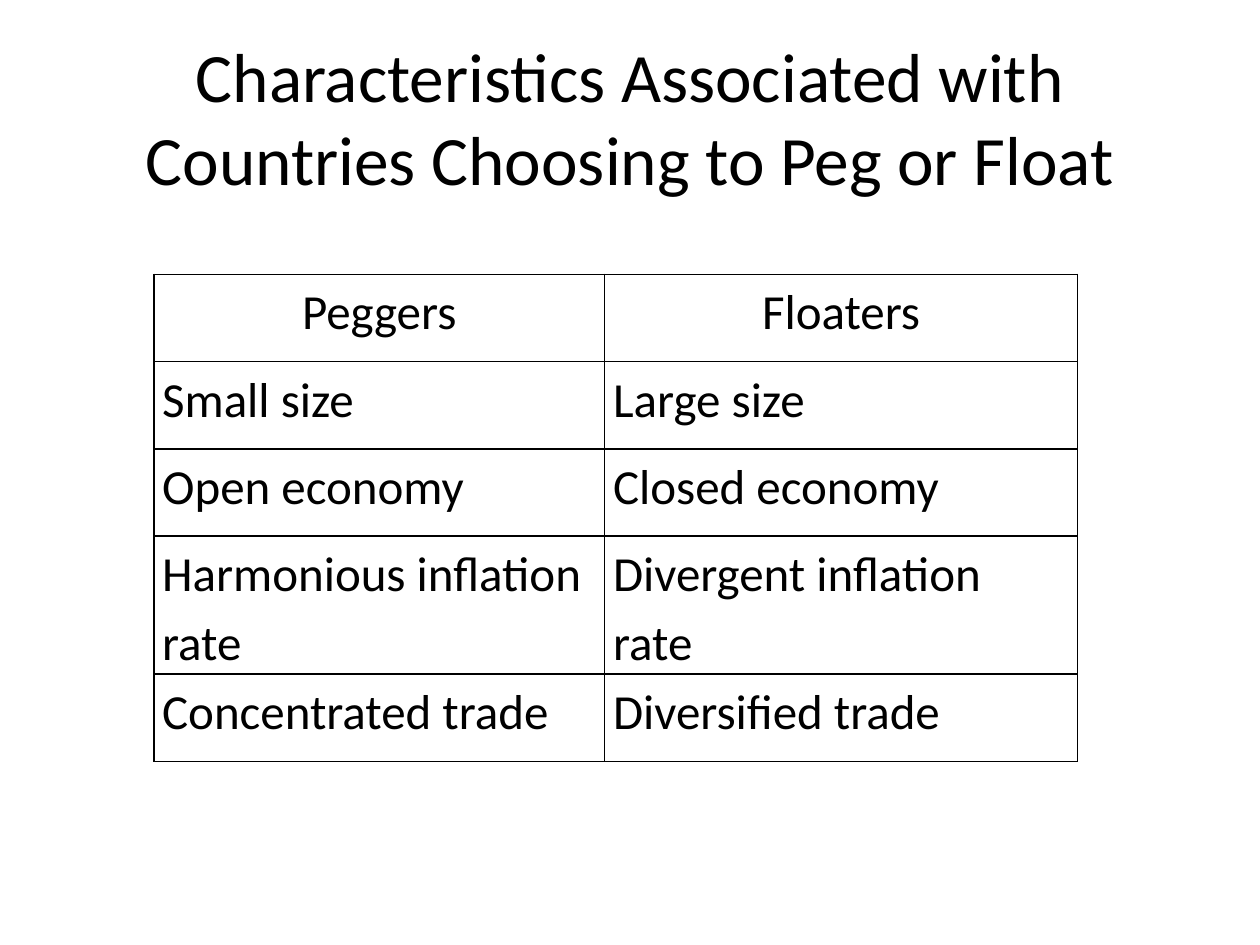
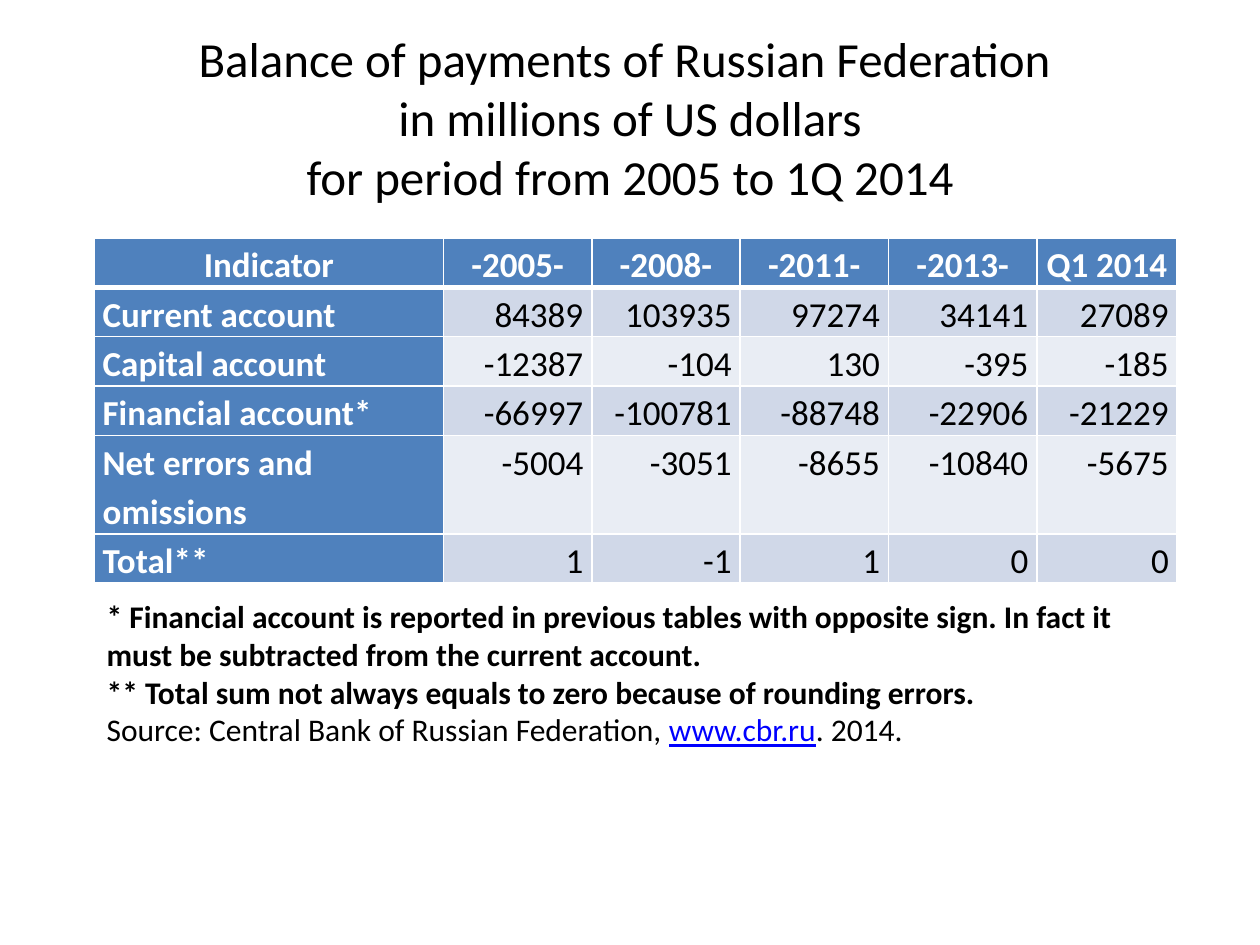
from dataclasses import dataclass
from lxml.etree import SubElement
from pptx import Presentation
from pptx.dml.color import RGBColor
from pptx.enum.text import MSO_ANCHOR, MSO_AUTO_SIZE, PP_ALIGN
from pptx.oxml.ns import qn
from pptx.util import Cm, Pt


@dataclass(frozen=True)
class Theme:
    font: str = "Calibri"
    black: str = "000000"
    white: str = "FFFFFF"
    blue: str = "4F81BD"
    bands: tuple = ("D0D8E8", "E9EDF4")
    link: str = "0000FF"
    title: float = 39.6
    large: float = 28
    body: float = 20
    note: float = 18
    lead: float = 1.15
    inset: float = 0.17


THEME = Theme()
LEFT, MID, RIGHT = PP_ALIGN.LEFT, PP_ALIGN.CENTER, PP_ALIGN.RIGHT

# Content
TRAITS = [
    ("Peggers", "Floaters"),
    ("Small size", "Large size"),
    ("Open economy", "Closed economy"),
    ("Harmonious inflation rate", "Divergent inflation rate"),
    ("Concentrated trade", "Diversified trade"),
]
BALANCE = [
    ("Indicator", "-2005-", "-2008-", "-2011-", "-2013-", "Q1 2014"),
    ("Current account", 84389, 103935, 97274, 34141, 27089),
    ("Capital account", -12387, -104, 130, -395, -185),
    ("Financial account*", -66997, -100781, -88748, -22906, -21229),
    ("Net errors and omissions", -5004, -3051, -8655, -10840, -5675),
    ("Total**", 1, -1, 1, 0, 0),
]
NOTES = [
    "* Financial account is reported in previous tables with opposite sign. "
    "In fact it must be subtracted from the current account.",
    "** Total sum not always equals to zero because of rounding errors.",
]


# Text: one run or several lines in a paragraph
def write(para, text, size=THEME.body, color=THEME.black, bold=False,
          line=False, align=LEFT, lead=None):
    para.alignment = align
    if lead:
        para.line_spacing = lead
    for num, part in enumerate(text.split("\n")):
        if num:
            para.add_line_break()
        run = para.add_run()
        run.text = part
        font = run.font
        font.name, font.size = THEME.font, Pt(size)
        font.bold, font.underline = bold, line
        font.color.rgb = RGBColor.from_string(color)


# Slide with its title
def add_page(deck, text, size):
    page = deck.slides.add_slide(deck.slide_layouts[5])
    head = page.shapes.title
    head.left, head.top = Cm(1.27), Cm(0.76)
    head.width, head.height = Cm(22.86), Cm(3.18)
    frame = head.text_frame
    frame.vertical_anchor = MSO_ANCHOR.MIDDLE
    write(frame.paragraphs[0], text, size=size, align=MID)
    return page


# Cell borders, in the order left, right, top, bottom
def edge(cell, color, widths):
    props = cell._tc.get_or_add_tcPr()
    for side, width in zip("LRTB", widths):
        line = SubElement(props, qn(f"a:ln{side}"), w=str(Pt(width)))
        fill = SubElement(line, qn("a:solidFill"))
        SubElement(fill, qn("a:srgbClr"), val=color)


# Table whose cells are dressed by a style function
def add_grid(page, data, left, top, cols, rows, style):
    table = page.shapes.add_table(
        len(rows), len(cols), Cm(left), Cm(top),
        Cm(sum(cols)), Cm(sum(rows))).table
    for col, width in zip(table.columns, cols):
        col.width = Cm(width)
    for row, height in zip(table.rows, rows):
        row.height = Cm(height)
    for r, line in enumerate(data):
        for c, value in enumerate(line):
            cell = table.cell(r, c)
            cell.margin_left = cell.margin_right = Cm(THEME.inset)
            cell.margin_top = cell.margin_bottom = 0
            look = style(cell, r, c)
            write(cell.text_frame.paragraphs[0], str(value),
                  lead=THEME.lead, **look)


def plain(cell, r, c):
    edge(cell, THEME.black, (1, 1, 1, 1))
    cell.fill.background()
    return dict(size=THEME.large, align=LEFT if r else MID)


def banded(cell, r, c):
    # A thick rule parts the header from the figures
    edge(cell, THEME.white, (1, 1, 3 if r == 1 else 1, 1 if r else 3))
    label = r == 0 or c == 0
    fill = THEME.blue if label else THEME.bands[(r - 1) % 2]
    cell.fill.solid()
    cell.fill.fore_color.rgb = RGBColor.from_string(fill)
    if r == 0:
        cell.vertical_anchor = MSO_ANCHOR.MIDDLE
    return dict(color=THEME.white if label else THEME.black, bold=label,
                align=MID if r == 0 else RIGHT if c else LEFT)


# Footnotes and source below the balance
def add_notes(page):
    box = page.shapes.add_textbox(Cm(1.9), Cm(11.91), Cm(21.79), Cm(3.33))
    frame = box.text_frame
    frame.word_wrap = True
    frame.auto_size = MSO_AUTO_SIZE.SHAPE_TO_FIT_TEXT
    para = frame.paragraphs[0]
    for note in NOTES:
        write(para, note, size=THEME.note, bold=True)
        para = frame.add_paragraph()
    write(para, "Source: Central Bank of Russian Federation, ",
          size=THEME.note)
    write(para, "www.cbr.ru", size=THEME.note, color=THEME.link, line=True)
    write(para, ". 2014.", size=THEME.note)


def main():
    deck = Presentation()
    deck.slide_width, deck.slide_height = Cm(25.4), Cm(19.05)

    # Peg or float
    page = add_page(deck, "Characteristics Associated with "
                    "Countries Choosing to Peg or Float", THEME.title)
    add_grid(page, TRAITS, 3.1, 5.53, [9.09, 9.53], [1.76] * 5, plain)

    # Balance of payments
    page = add_page(deck, "Balance of payments of Russian Federation \n"
                    "in millions of US dollars\n"
                    "for period from 2005 to 1Q 2014", THEME.large)
    add_grid(page, BALANCE, 1.9, 4.8, [7.04] + [2.99] * 4 + [2.83],
             [0.98] * 4 + [1.96, 0.98], banded)
    add_notes(page)

    deck.save("out.pptx")


main()
